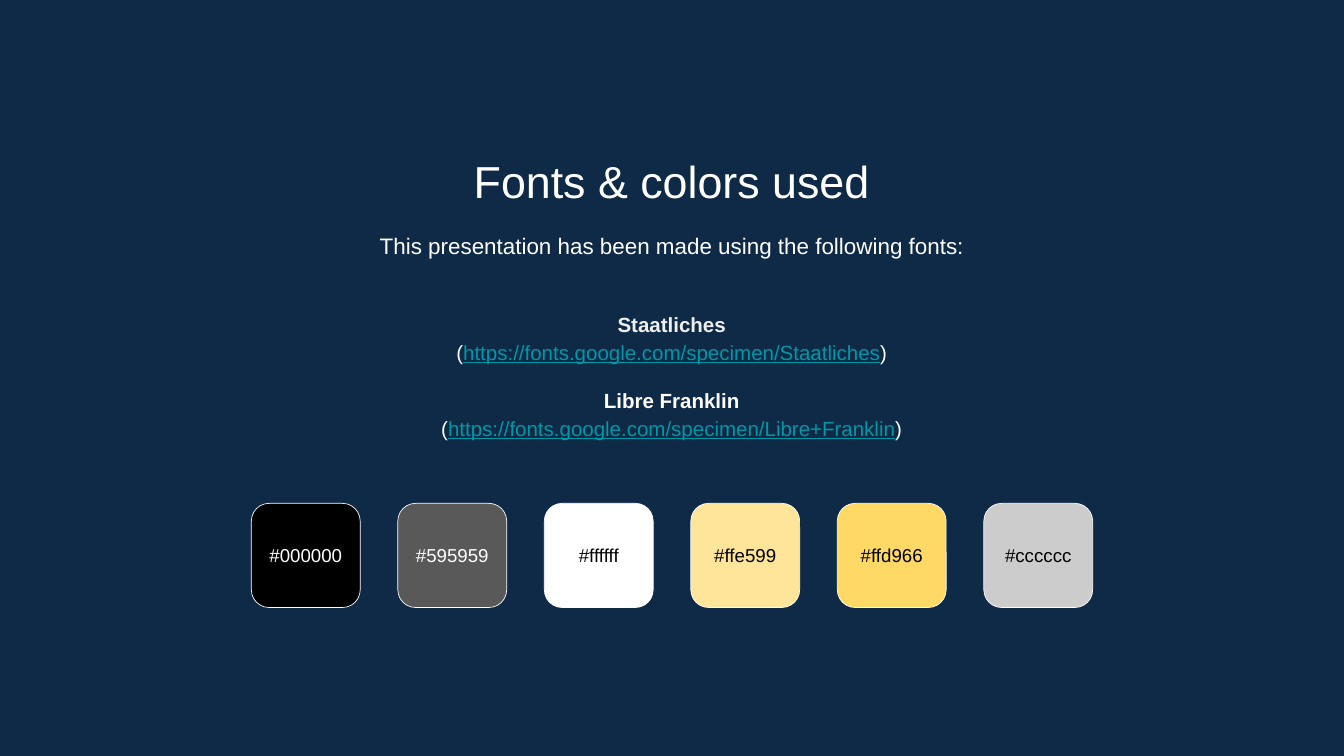
from pptx import Presentation
from pptx.dml.color import RGBColor
from pptx.enum.shapes import MSO_SHAPE
from pptx.enum.text import MSO_ANCHOR, MSO_AUTO_SIZE, PP_ALIGN
from pptx.oxml.ns import qn
from pptx.util import Pt
from lxml.etree import SubElement

PX = 9144  # EMU per px, 100 px to the inch
FONT = "Arial"
NAVY, WHITE, BLACK, PALE, TEAL = "0E2A47", "FFFFFF", "000000", "EFEFEF", "0097A7"

FONTS = [
    ("Staatliches", PALE, "https://fonts.google.com/specimen/Staatliches"),
    ("Libre Franklin", WHITE, "https://fonts.google.com/specimen/Libre+Franklin"),
]
COLORS = [
    ("#000000", WHITE), ("#595959", WHITE), ("#ffffff", BLACK),
    ("#ffe599", BLACK), ("#ffd966", BLACK), ("#cccccc", BLACK),
]


def color(code):
    return RGBColor.from_string(code.lstrip("#").upper())


def place(shape, left, top, width, height):
    shape.left, shape.top = left * PX, top * PX
    shape.width, shape.height = width * PX, height * PX


def set_frame(shape, anchor=MSO_ANCHOR.TOP):
    frame = shape.text_frame
    frame.word_wrap = True
    frame.auto_size = MSO_AUTO_SIZE.NONE
    frame.vertical_anchor = anchor
    frame.margin_left = frame.margin_right = 20 * PX
    frame.margin_top = frame.margin_bottom = 20 * PX
    return frame


def add_line(frame, runs, size, lead=1.0, before=0):
    """Add a centred line; each run is (text, colour, bold, underline)."""
    first = frame.paragraphs[0]
    line = frame.add_paragraph() if first.runs else first
    props = line._p.get_or_add_pPr()
    props.set("marL", "0")
    props.set("indent", "0")
    SubElement(props, qn("a:buNone"))
    line.alignment = PP_ALIGN.CENTER
    line.line_spacing = lead
    line.space_before, line.space_after = Pt(before), Pt(0)
    for text, code, bold, under in runs:
        run = line.add_run()
        run.text = text
        font = run.font
        font.name, font.size = FONT, Pt(size)
        font.bold, font.underline = bold, under
        font.color.rgb = color(code)


def add_fonts(frame):
    for i, (name, code, url) in enumerate(FONTS):
        add_line(frame, [(name, code, True, False)], 22, 1.15, 21 if i else 0)
        add_line(frame, [
            ("(", WHITE, False, False),
            (url, TEAL, False, True),
            (")", WHITE, False, False),
        ], 22, 1.15)


def add_swatch(slide, left, code, ink):
    tile = slide.shapes.add_shape(MSO_SHAPE.ROUNDED_RECTANGLE, 0, 0, 0, 0)
    place(tile, left, 749, 162, 155)
    tile.adjustments[0] = 0.17
    tile.shadow.inherit = False
    tile.fill.solid()
    tile.fill.fore_color.rgb = color(code)
    tile.line.color.rgb = color(WHITE)
    tile.line.width = Pt(0.75)

    label = slide.shapes.add_textbox(0, 0, 0, 0)
    place(label, left, 781, 162, 90)
    frame = set_frame(label, MSO_ANCHOR.MIDDLE)
    add_line(frame, [(code, ink, False, False)], 20)


def main():
    deck = Presentation()
    deck.slide_width, deck.slide_height = 2000 * PX, 1125 * PX
    slide = deck.slides.add_slide(deck.slide_layouts.get_by_name("Two Content"))
    slide.background.fill.solid()
    slide.background.fill.fore_color.rgb = color(NAVY)
    title, intro, fonts = slide.placeholders

    # Title and intro
    place(title, 229, 209, 1541, 106)
    add_line(set_frame(title), [("Fonts & colors used", WHITE, False, False)], 48)
    place(intro, 229, 319, 1541, 96)
    add_line(set_frame(intro), [
        ("This presentation has been made using the following fonts:",
         WHITE, False, False),
    ], 24, 1.15)

    # Font list
    place(fonts, 229, 420, 1541, 274)
    add_fonts(set_frame(fonts, MSO_ANCHOR.MIDDLE))

    # Colour swatches
    for i, (code, ink) in enumerate(COLORS):
        add_swatch(slide, 374 + 218 * i, code, ink)

    deck.save("out.pptx")


if __name__ == "__main__":
    main()
